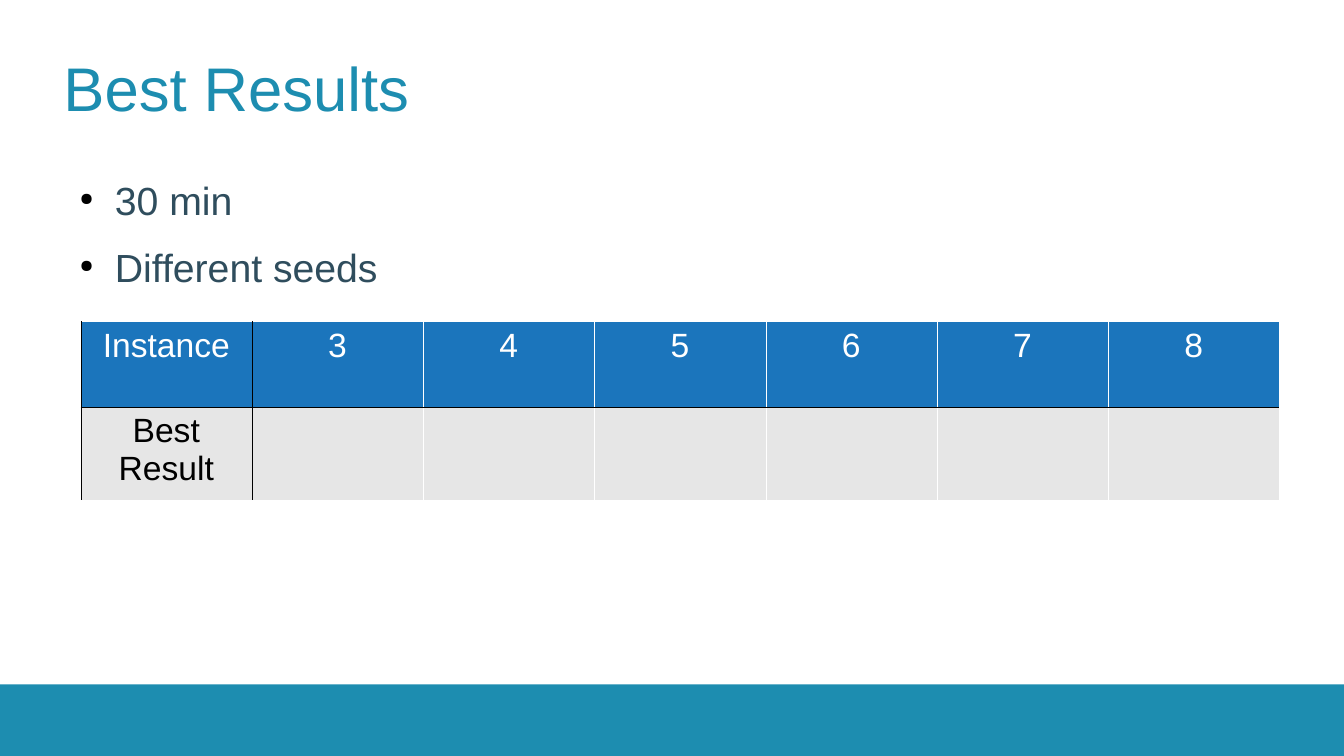
import dataclasses

import lxml.etree
import pptx
import pptx.dml.color
import pptx.enum.shapes
import pptx.enum.text
import pptx.oxml.ns
import pptx.util

Inches = pptx.util.Inches
Pt = pptx.util.Pt
qn = pptx.oxml.ns.qn

COLORS = {
    "teal": "1D8DB0",
    "slate": "2F4D5D",
    "blue": "1B75BC",
    "gray": "E6E6E6",
    "white": "FFFFFF",
    "black": "000000",
}
FONT = "Arial"


@dataclasses.dataclass
class TextBox:
    left: float
    top: float
    width: float
    height: float
    lines: list[str]
    size: int
    color: str
    anchor: pptx.enum.text.MSO_ANCHOR
    bulleted: bool = False


@dataclasses.dataclass
class TableRow:
    height: float
    texts: list[str]
    fill: str
    color: str


BOXES = [
    TextBox(0.63, 0.23, 12.07, 1.26, ["Best Results"], 44, "teal",
            pptx.enum.text.MSO_ANCHOR.MIDDLE),
    TextBox(0.67, 1.75, 12, 4.35, ["30 min", "Different seeds"], 28, "slate",
            pptx.enum.text.MSO_ANCHOR.TOP, bulleted=True),
]
ROWS = [
    TableRow(0.85, ["Instance"] + [str(n) for n in range(3, 9)], "blue", "white"),
    TableRow(0.92, ["Best Result"] + [""] * 6, "gray", "black"),
]


def rgb(name: str) -> pptx.dml.color.RGBColor:
    return pptx.dml.color.RGBColor.from_string(COLORS[name])


def style(p, size: int, color: str) -> None:
    p.font.name = FONT
    p.font.size = Pt(size)
    p.font.color.rgb = rgb(color)


def add_bullet(p) -> None:
    pPr = p._p.get_or_add_pPr()
    pPr.set("marL", str(Inches(0.47)))
    pPr.set("indent", str(Inches(-0.35)))
    p.space_before = Pt(14.2)
    clr = lxml.etree.Element(qn("a:buClr"))
    lxml.etree.SubElement(clr, qn("a:srgbClr"), val=COLORS["black"])
    size = lxml.etree.Element(qn("a:buSzPct"), val="45000")
    char = lxml.etree.Element(qn("a:buChar"), char="●")
    spacing = pPr.find(qn("a:spcBef"))
    for el in (char, size, clr):
        spacing.addnext(el)


def add_text(slide, box: TextBox) -> None:
    sp = slide.shapes.add_textbox(Inches(box.left), Inches(box.top),
                                  Inches(box.width), Inches(box.height))
    tf = sp.text_frame
    tf.word_wrap = True
    tf.vertical_anchor = box.anchor
    tf.margin_left = tf.margin_right = tf.margin_top = tf.margin_bottom = 0
    tf.text = "\n".join(box.lines)
    for p in tf.paragraphs:
        if box.bulleted:
            add_bullet(p)
        style(p, box.size, box.color)


def set_border(cell, side: str, color: str) -> None:
    tcPr = cell._tc.get_or_add_tcPr()
    ln = lxml.etree.SubElement(tcPr, qn(f"a:ln{side}"), w=str(Pt(0.06)))
    fill = lxml.etree.SubElement(ln, qn("a:solidFill"))
    lxml.etree.SubElement(fill, qn("a:srgbClr"), val=COLORS[color])


def add_results(slide, rows: list[TableRow]) -> None:
    count = len(rows[0].texts)
    height = sum(row.height for row in rows)
    table = slide.shapes.add_table(len(rows), count, Inches(0.8), Inches(3.19),
                                   Inches(11.89), Inches(height)).table
    for i, row in enumerate(rows):
        table.rows[i].height = Inches(row.height)
        for j, text in enumerate(row.texts):
            cell = table.cell(i, j)
            edges = {"L": j <= 1, "R": j == 0, "T": i == 1, "B": i == 0}
            for side, dark in edges.items():
                set_border(cell, side, "black" if dark else "white")
            cell.fill.solid()
            cell.fill.fore_color.rgb = rgb(row.fill)
            cell.text = text
            p = cell.text_frame.paragraphs[0]
            p.alignment = pptx.enum.text.PP_ALIGN.CENTER
            style(p, 24, row.color)
            p.font.bold = False


def add_footer(slide) -> None:
    sp = slide.shapes.add_shape(pptx.enum.shapes.MSO_SHAPE.RECTANGLE, 0, Inches(6.79),
                                Inches(13.33), Inches(0.71))
    sp.shadow.inherit = False
    sp.fill.solid()
    sp.fill.fore_color.rgb = rgb("teal")
    sp.line.fill.background()


def main() -> None:
    prs = pptx.Presentation()
    prs.slide_width = Inches(13.33)
    prs.slide_height = Inches(7.5)
    slide = prs.slides.add_slide(prs.slide_layouts[6])
    title, bullets = BOXES
    add_footer(slide)
    add_text(slide, title)
    add_results(slide, ROWS)
    add_text(slide, bullets)
    prs.save("out.pptx")


if __name__ == "__main__":
    main()
